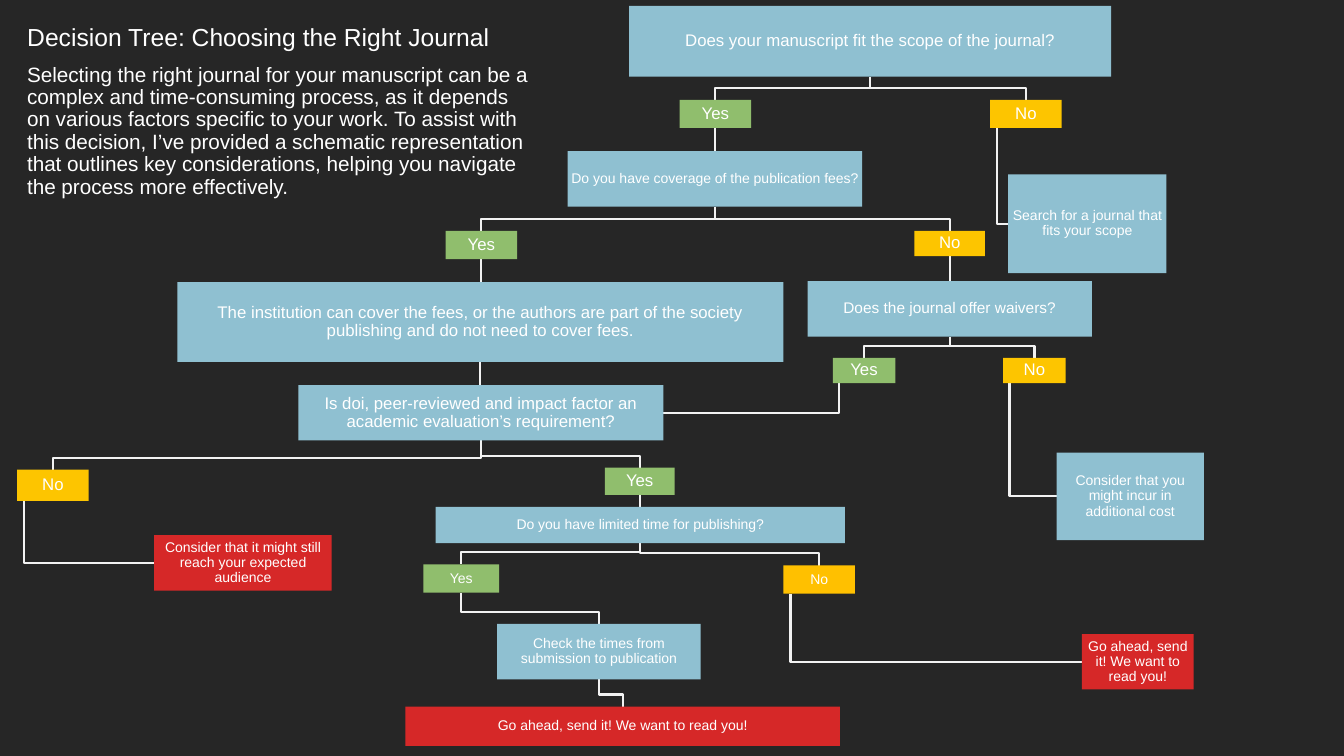
from pptx import Presentation
from pptx.dml.color import RGBColor
from pptx.enum.shapes import MSO_CONNECTOR, MSO_SHAPE
from pptx.enum.text import MSO_ANCHOR, MSO_AUTO_SIZE, PP_ALIGN
from pptx.oxml.ns import qn
from pptx.util import Inches, Pt
from lxml import etree

RECTANGLE = MSO_SHAPE.RECTANGLE
STRAIGHT = MSO_CONNECTOR.STRAIGHT
TOP, MIDDLE = MSO_ANCHOR.TOP, MSO_ANCHOR.MIDDLE
LEFT, CENTER = PP_ALIGN.LEFT, PP_ALIGN.CENTER
NO_AUTOFIT = MSO_AUTO_SIZE.NONE

TITLE_ONLY = 5
FONT = "Arial"
DARK, WHITE, LINE = "262626", "FFFFFF", "F2F2F2"
BLUE, GREEN, YELLOW, AMBER, RED = "8FC0D1", "90BE6D", "FDC500", "FFC000", "D62828"
ELBOW = 0.12  # height of an elbow above the box it leads to

TITLE = "Decision Tree: Choosing the Right Journal"
INTRO = (
    "Selecting the right journal for your manuscript can be a complex and "
    "time-consuming process, as it depends on various factors specific to your "
    "work. To assist with this decision, I’ve provided a schematic representation "
    "that outlines key considerations, helping you navigate the process more "
    "effectively."
)

# name: (left, top, width, height), fill, text size, text
NODES = {
    "scope": ((6.24, 0.06, 4.78, 0.7), BLUE, 12,
              "Does your manuscript fit the scope of the journal?"),
    "scope yes": ((6.74, 0.99, 0.71, 0.28), GREEN, 12, "Yes"),
    "scope no": ((9.82, 0.99, 0.71, 0.28), YELLOW, 12, "No"),
    "search": ((10, 1.73, 1.57, 0.98), BLUE, 10,
               "Search for a journal that fits your scope"),
    "fees": ((5.63, 1.5, 2.92, 0.55), BLUE, 10,
             "Do you have coverage of the publication fees?"),
    "fees yes": ((4.42, 2.29, 0.71, 0.28), GREEN, 12, "Yes"),
    "fees no": ((9.07, 2.29, 0.7, 0.25), YELLOW, 12, "No"),
    "institution": ((1.76, 2.8, 6.01, 0.79), BLUE, 12,
                    "The institution can cover the fees, or the authors are part of "
                    "the society publishing and do not need to cover fees."),
    "waivers": ((8.01, 2.79, 2.82, 0.55), BLUE, 11, "Does the journal offer waivers?"),
    "waivers yes": ((8.26, 3.55, 0.62, 0.25), GREEN, 12, "Yes"),
    "waivers no": ((9.95, 3.55, 0.62, 0.25), YELLOW, 12, "No"),
    "cost": ((10.48, 4.49, 1.46, 0.87), BLUE, 10,
             "Consider that you might incur in additional cost"),
    "impact": ((2.96, 3.82, 3.62, 0.55), BLUE, 12,
               "Is doi, peer-reviewed and impact factor an academic evaluation’s "
               "requirement?"),
    "impact no": ((0.17, 4.66, 0.71, 0.31), YELLOW, 12, "No"),
    "impact yes": ((6, 4.64, 0.69, 0.27), GREEN, 12, "Yes"),
    "audience": ((1.53, 5.31, 1.76, 0.55), RED, 10,
                 "Consider that it might still reach your expected audience"),
    "time": ((4.32, 5.03, 4.06, 0.36), BLUE, 10,
             "Do you have limited time for publishing?"),
    "time yes": ((4.2, 5.6, 0.75, 0.28), GREEN, 10, "Yes"),
    "time no": ((7.77, 5.61, 0.71, 0.28), AMBER, 10, "No"),
    "check": ((4.93, 6.19, 2.02, 0.55), BLUE, 10,
              "Check the times from submission to publication"),
    "send after check": ((4.02, 7.01, 4.31, 0.39), RED, 10,
                         "Go ahead, send it! We want to read you!"),
    "send now": ((10.73, 6.29, 1.11, 0.55), RED, 10,
                 "Go ahead, send it! We want to read you!"),
}

# Links that enter a box from above
DOWN_LINKS = [
    ("scope", "scope yes"), ("scope", "scope no"), ("scope yes", "fees"),
    ("fees", "fees yes"), ("fees", "fees no"), ("fees yes", "institution"),
    ("fees no", "waivers"), ("waivers", "waivers yes"), ("waivers", "waivers no"),
    ("institution", "impact"), ("impact", "impact no"), ("impact", "impact yes"),
    ("impact yes", "time"), ("time", "time yes"), ("time", "time no"),
    ("time yes", "check"), ("check", "send after check"),
]

# Links that enter a box from its side
SIDE_LINKS = [
    ("scope no", "search"), ("waivers yes", "impact"), ("waivers no", "cost"),
    ("impact no", "audience"), ("time no", "send now"),
]


def color(hex_string):
    return RGBColor.from_string(hex_string)


def write(shape, text, size, align, anchor, margin=None):
    frame = shape.text_frame
    frame.word_wrap = True
    frame.auto_size = NO_AUTOFIT
    frame.vertical_anchor = anchor
    if margin is not None:
        frame.margin_left = frame.margin_right = Inches(margin)
        frame.margin_top = frame.margin_bottom = Inches(margin)
    paragraph = frame.paragraphs[0]
    paragraph.text = text
    paragraph.alignment = align
    paragraph.line_spacing = 0.9
    paragraph.space_before = Pt(0)
    paragraph.font.name = FONT
    paragraph.font.size = Pt(size)
    paragraph.font.color.rgb = color(WHITE)


def add_heading(slide, left, top, width):
    """Title with the introduction below it."""
    title = slide.shapes.title
    title.left, title.top = Inches(left), Inches(top)
    title.width, title.height = Inches(width), Inches(0.36)
    write(title, TITLE, 17.6, LEFT, TOP)
    intro = slide.shapes.add_textbox(
        Inches(left), Inches(top + 0.39), Inches(width), Inches(1.8))
    write(intro, INTRO, 14.8, LEFT, TOP)


def add_path(slide, points):
    """Straight connector for two points, open outline for more."""
    corners = [(Inches(x), Inches(y)) for x, y in points]
    if len(corners) == 2:
        path = slide.shapes.add_connector(STRAIGHT, *corners[0], *corners[1])
        etree.SubElement(path._element.spPr, qn("a:effectLst"))
    else:
        builder = slide.shapes.build_freeform(*corners[0])
        builder.add_line_segments(corners[1:], close=False)
        path = builder.convert_to_shape()
        path.fill.background()
        path.shadow.inherit = False
    path.line.color.rgb = color(LINE)
    path.line.width = Pt(1.5)


def link_down(slide, parent, child):
    left, top, width, height = parent
    start_x, start_y = left + width / 2, top + height
    end_x, end_y = child[0] + child[2] / 2, child[1]
    if abs(start_x - end_x) < 0.02:
        points = [(start_x, start_y), (start_x, end_y)]
    else:
        turn = end_y - ELBOW
        points = [(start_x, start_y), (start_x, turn), (end_x, turn), (end_x, end_y)]
    add_path(slide, points)


def link_side(slide, parent, child):
    left, top, width, height = parent
    start_x = left + width / 10
    end_x = child[0] if child[0] > start_x else child[0] + child[2]
    middle = child[1] + child[3] / 2
    add_path(slide, [(start_x, top + height), (start_x, middle), (end_x, middle)])


def add_node(slide, box, fill, size, text):
    node = slide.shapes.add_shape(RECTANGLE, *map(Inches, box))
    node.shadow.inherit = False
    node.fill.solid()
    node.fill.fore_color.rgb = color(fill)
    node.line.fill.background()
    write(node, text, size, CENTER, MIDDLE, margin=0.01)


def add_tree(slide):
    """Links first, so that the boxes cover their ends."""
    for parent, child in DOWN_LINKS:
        link_down(slide, NODES[parent][0], NODES[child][0])
    for parent, child in SIDE_LINKS:
        link_side(slide, NODES[parent][0], NODES[child][0])
    for node in NODES.values():
        add_node(slide, *node)


def main():
    presentation = Presentation()
    presentation.slide_width = Inches(13.33)
    presentation.slide_height = Inches(7.5)
    slide = presentation.slides.add_slide(presentation.slide_layouts[TITLE_ONLY])
    slide.background.fill.solid()
    slide.background.fill.fore_color.rgb = color(DARK)
    add_tree(slide)
    add_heading(slide, 0.17, 0.2, 5.24)
    presentation.save("out.pptx")


if __name__ == "__main__":
    main()
